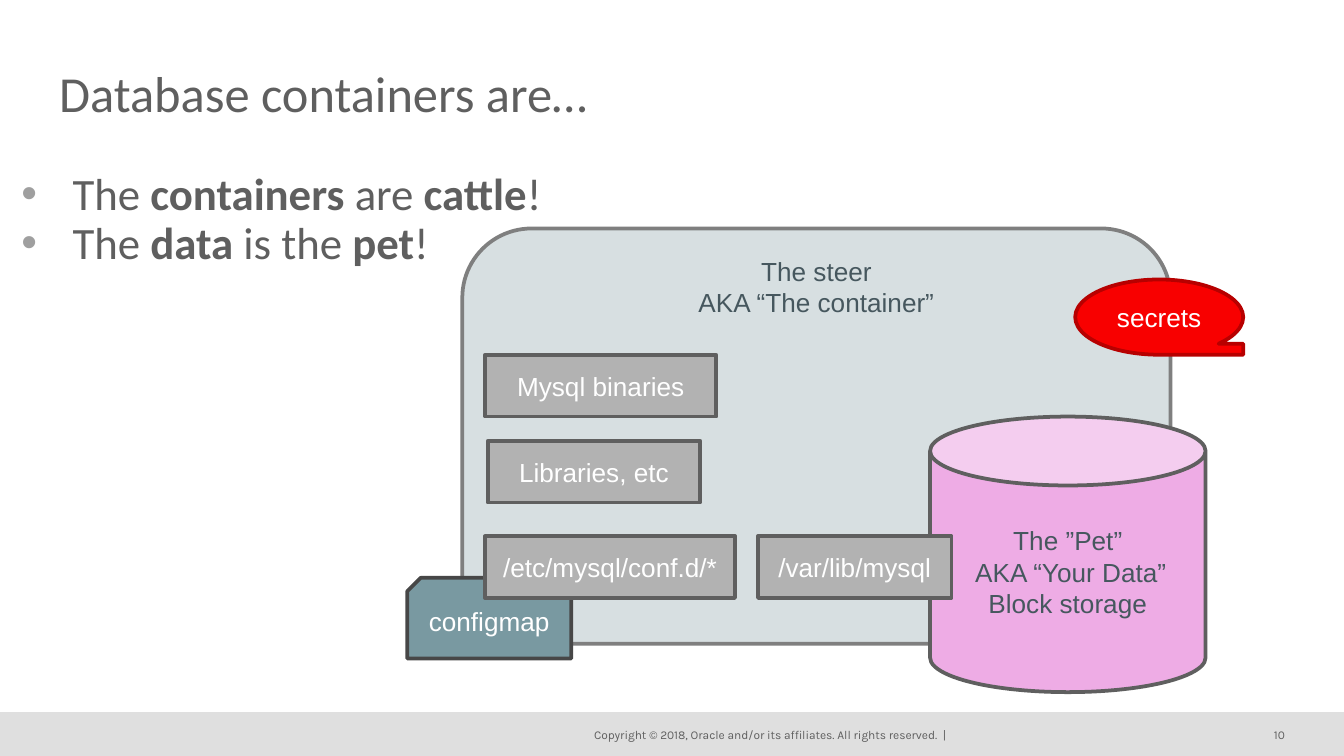
import pptx
import pptx.util
import pptx.dml.color
import pptx.enum.shapes
import pptx.enum.text
import pptx.oxml
import pptx.oxml.ns

Inches = pptx.util.Inches
Pt = pptx.util.Pt
SHAPE = pptx.enum.shapes.MSO_SHAPE
ALIGN = pptx.enum.text.PP_ALIGN
ANCHOR = pptx.enum.text.MSO_ANCHOR

GREY, WHITE, SLATE = "5F5F5F", "FFFFFF", "46575E"
HEADING = "Database containers are…"
POINTS = [
    [("The ", False), ("containers", True), (" are ", False), ("cattle", True), ("!", False)],
    [("The ", False), ("data", True), (" is the ", False), ("pet", True), ("!", False)],
]
FOOTER = [
    ("Copyright © 2018, Oracle and/or its affiliates. All rights reserved.  |", 4.41, 2.63),
    ("10", 9.25, 0.31),
]
STEER = (SHAPE.ROUNDED_RECTANGLE, (3.44, 1.7, 5.27, 3.09), "D7DFE1", "7F7F7F", SLATE,
         ["The steer", "AKA “The container”"], ANCHOR.TOP)
PET = (SHAPE.CAN, (6.92, 3.1, 2.05, 2.05), "EEACE5", GREY, SLATE,
       ["The ”Pet”\n AKA “Your Data” Block storage"])
CONFIGMAP = (SHAPE.SNIP_2_SAME_RECTANGLE, (3.03, 4.3, 1.22, 0.6), "7999A1", "474747", WHITE,
             ["configmap"])
SECRETS = (SHAPE.FLOWCHART_SEQUENTIAL_ACCESS_STORAGE, (8, 2.08, 1.25, 0.56), "F80000", "B70000",
           WHITE, ["secrets"])


def part(label, left, top, width):
    return SHAPE.RECTANGLE, (left, top, width, 0.46), "B2B2B2", GREY, WHITE, [label]


DIAGRAM = [
    STEER,
    PET,
    part("Mysql binaries", 3.61, 2.64, 1.72),
    part("Libraries, etc", 3.63, 3.28, 1.58),
    part("/var/lib/mysql", 5.64, 3.99, 1.44),
    CONFIGMAP,
    part("/etc/mysql/conf.d/*", 3.61, 3.99, 1.86),
    SECRETS,
]


def color(value):
    return pptx.dml.color.RGBColor.from_string(value)


def place(holder, left, top, width, height):
    holder.left, holder.top = Inches(left), Inches(top)
    holder.width, holder.height = Inches(width), Inches(height)


def frame_of(holder, anchor):
    frame = holder.text_frame
    frame.margin_left = frame.margin_right = frame.margin_top = frame.margin_bottom = 0
    frame.auto_size = pptx.enum.text.MSO_AUTO_SIZE.NONE
    frame.word_wrap = True
    frame.vertical_anchor = anchor
    return frame


def write(paragraph, text, size, face, ink, bold=False):
    run = paragraph.add_run()
    run.text = text
    run.font.size, run.font.name, run.font.bold = Pt(size), face, bold
    run.font.color.rgb = color(ink)


def add_bullet(paragraph):
    props = paragraph._p.get_or_add_pPr()
    props.set("marL", str(Inches(0.38)))
    props.set("indent", str(-Inches(0.38)))
    ns = pptx.oxml.ns.nsdecls("a")
    for xml in (f'<a:buClr {ns}><a:srgbClr val="9F9F9F"/></a:buClr>',
                f'<a:buFont {ns} typeface="Arial"/>',
                f'<a:buChar {ns} char="•"/>'):
        props.append(pptx.oxml.parse_xml(xml))


def draw(slide, kind, box, fill, line, ink, paragraphs, anchor=ANCHOR.MIDDLE):
    shape = slide.shapes.add_shape(kind, *map(Inches, box))
    shape.shadow.inherit = False
    shape.fill.solid()
    shape.fill.fore_color.rgb = color(fill)
    if line:
        shape.line.color.rgb = color(line)
        shape.line.width = Pt(2)
    else:
        shape.line.fill.background()
    frame = shape.text_frame
    frame.word_wrap = True
    frame.vertical_anchor = anchor
    for index, text in enumerate(paragraphs):
        paragraph = frame.add_paragraph() if index else frame.paragraphs[0]
        paragraph.alignment = ALIGN.CENTER
        for row, words in enumerate(text.split("\n")):
            if row:
                paragraph.add_line_break()
            write(paragraph, words, 14, "Arial", ink)


def main():
    deck = pptx.Presentation()
    deck.slide_width = Inches(10)
    deck.slide_height = deck.slide_width * 9 // 16
    slide = deck.slides.add_slide(deck.slide_layouts[1])

    title = slide.shapes.title
    place(title, 0.44, 0.18, 9.13, 0.73)
    heading = frame_of(title, ANCHOR.BOTTOM).paragraphs[0]
    heading.alignment = ALIGN.LEFT
    heading.line_spacing = 0.8
    write(heading, HEADING, 27, "Calibri", GREY)

    body = slide.placeholders[1]
    place(body, 0.16, 1.28, 9.4, 3.93)
    points = frame_of(body, ANCHOR.TOP)
    for index, runs in enumerate(POINTS):
        point = points.add_paragraph() if index else points.paragraphs[0]
        add_bullet(point)
        point.line_spacing = 0.9
        point.space_before = Pt(0)
        for text, bold in runs:
            write(point, text, 24, "Calibri", GREY, bold)

    draw(slide, SHAPE.RECTANGLE, (0, 5.3, 10, 0.33), "DFDFDF", None, GREY, [])
    for text, left, width in FOOTER:
        note = slide.shapes.add_textbox(Inches(left), Inches(5.39), Inches(width), Inches(0.15))
        paragraph = frame_of(note, ANCHOR.MIDDLE).paragraphs[0]
        paragraph.alignment = ALIGN.RIGHT
        write(paragraph, text, 6.4, "Karla", GREY)

    for item in DIAGRAM:
        draw(slide, *item)
    deck.save("out.pptx")


if __name__ == "__main__":
    main()
